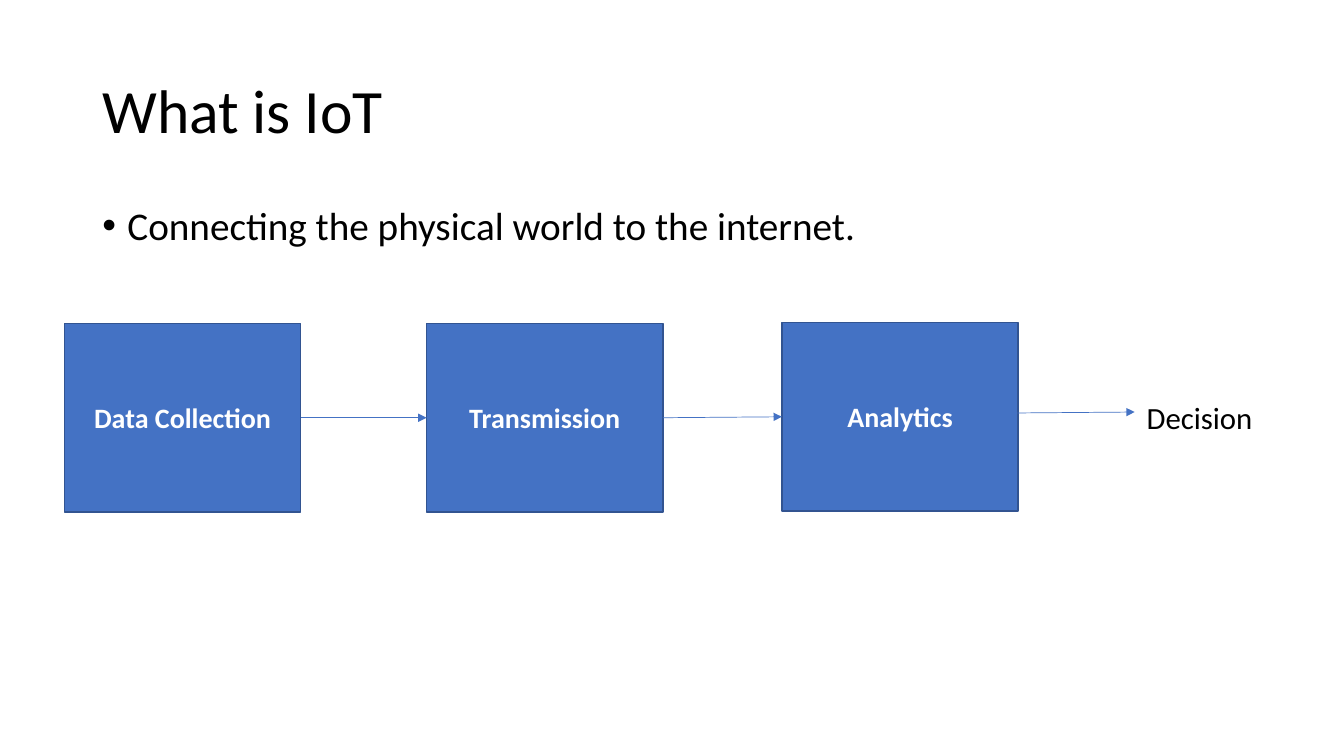
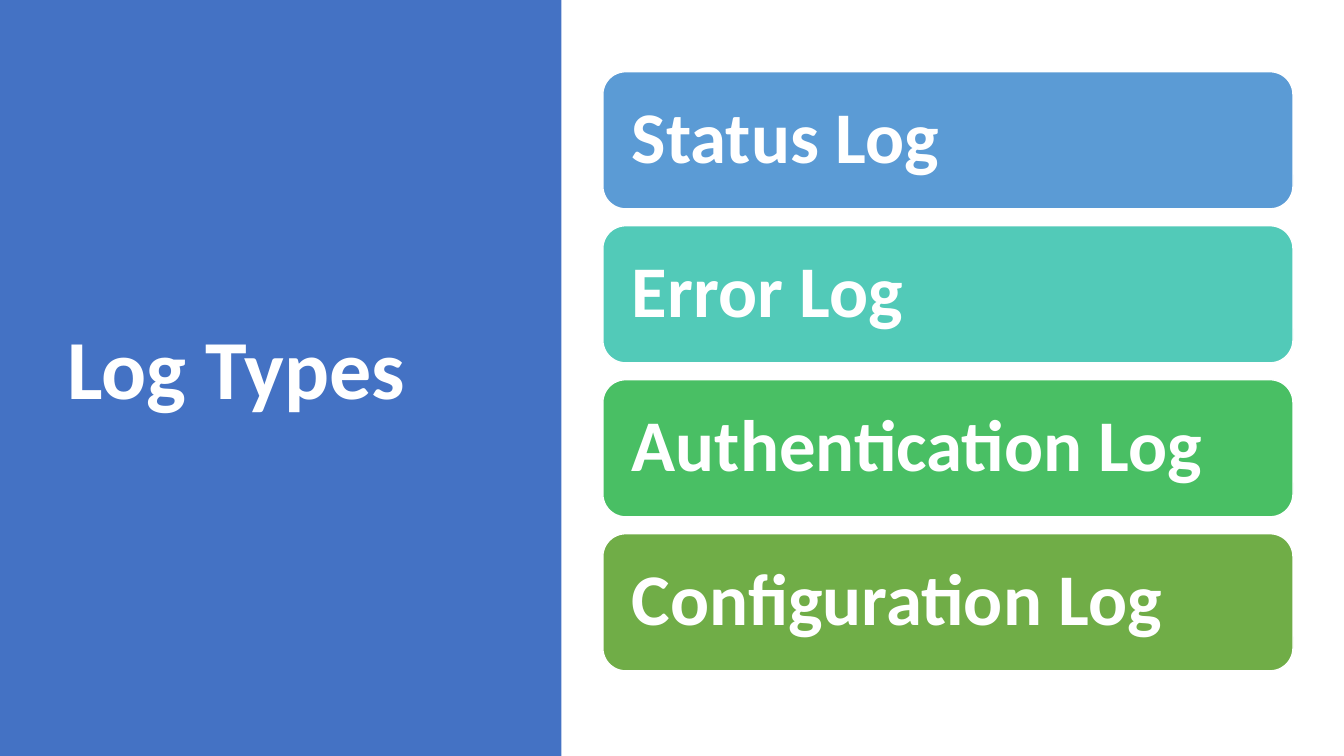
from lxml.etree import SubElement
from pptx import Presentation
from pptx.dml.color import RGBColor
from pptx.enum.shapes import MSO_CONNECTOR, MSO_SHAPE
from pptx.enum.text import MSO_ANCHOR as Anchor, PP_ALIGN as Align
from pptx.oxml.ns import qn
from pptx.util import Pt

BLACK = RGBColor(0x00, 0x00, 0x00)
WHITE = RGBColor(0xFF, 0xFF, 0xFF)
BLUE = RGBColor(0x44, 0x72, 0xC4)
DARK_BLUE = RGBColor(0x32, 0x54, 0x91)
SKY = RGBColor(0x5B, 0x9B, 0xD5)
TEAL = RGBColor(0x52, 0xCA, 0xB8)
GREEN = RGBColor(0x49, 0xBF, 0x64)
OLIVE = RGBColor(0x70, 0xAD, 0x47)

FONT = "Calibri"
PAGE_WIDTH, PAGE_HEIGHT = 960, 540
LEFT, RIGHT = 1, 3


class Deck:
    def __init__(self):
        self.deck = Presentation()
        self.deck.slide_width = Pt(PAGE_WIDTH)
        self.deck.slide_height = Pt(PAGE_HEIGHT)
        self.shapes = None

    def add_page(self):
        page = self.deck.slides.add_slide(self.deck.slide_layouts[6])
        self.shapes = page.shapes

    def set_text(self, shape, text, size, color=BLACK, bold=False,
                 anchor=Anchor.TOP, align=Align.LEFT, spacing=None):
        frame = shape.text_frame
        frame.word_wrap = True
        frame.vertical_anchor = anchor
        para = frame.paragraphs[0]
        para.text = text
        para.alignment = align
        para.line_spacing = spacing
        font = para.font
        font.name = FONT
        font.size = Pt(size)
        font.bold = bold
        font.color.rgb = color
        return para

    def text(self, place, text, size, **style):
        box = self.shapes.add_textbox(*map(Pt, place))
        return self.set_text(box, text, size, **style)

    def title(self, place, text, size=44, **style):
        self.text(place, text, size, anchor=Anchor.MIDDLE, spacing=0.9, **style)

    def bullet(self, place, text):
        para = self.text(place, text, 28, spacing=0.9)
        para.space_before = Pt(10)
        properties = para._p.get_or_add_pPr()
        properties.set("marL", str(Pt(18)))
        properties.set("indent", str(-Pt(18)))
        bullet_font = SubElement(properties, qn("a:buFont"), typeface="Arial")
        bullet_mark = SubElement(properties, qn("a:buChar"), char="•")
        properties.defRPr.addprevious(bullet_font)
        properties.defRPr.addprevious(bullet_mark)

    def block(self, place, fill, line=None, kind=MSO_SHAPE.RECTANGLE):
        shape = self.shapes.add_shape(kind, *map(Pt, place))
        shape.shadow.inherit = False
        shape.fill.solid()
        shape.fill.fore_color.rgb = fill
        if line is None:
            shape.line.fill.background()
        else:
            shape.line.color.rgb = line
            shape.line.width = Pt(1)
        return shape

    def step(self, place, text):
        box = self.block(place, BLUE, DARK_BLUE)
        self.set_text(box, text, 20, color=WHITE, bold=True,
                      anchor=Anchor.MIDDLE, align=Align.CENTER)
        return box

    def card(self, place, text, fill):
        card = self.block(place, fill, WHITE, MSO_SHAPE.ROUNDED_RECTANGLE)
        frame = card.text_frame
        frame.margin_left = frame.margin_right = Pt(16)
        self.set_text(card, text, 52, color=WHITE, bold=True,
                      anchor=Anchor.MIDDLE, spacing=0.9)

    def arrow(self, start=(0, 0), end=(0, 0)):
        arrow = self.shapes.add_connector(
            MSO_CONNECTOR.STRAIGHT, *map(Pt, (*start, *end)))
        arrow.line.color.rgb = BLUE
        arrow.line.width = Pt(0.5)
        outline = arrow._element.spPr.find(qn("a:ln"))
        SubElement(outline, qn("a:tailEnd"), type="triangle")
        SubElement(arrow._element.spPr, qn("a:effectLst"))
        return arrow

    def join(self, source, target):
        arrow = self.arrow()
        arrow.begin_connect(source, RIGHT)
        arrow.end_connect(target, LEFT)

    def save(self):
        self.deck.save("out.pptx")


def add_iot_page(deck):
    deck.add_page()
    deck.title((66, 28.75, 828, 104.4), "What is IoT")
    deck.bullet((66, 143.75, 828, 342.6),
                "Connecting the physical world to the internet.")
    steps = [
        deck.step((left, top, 168.8, 134.8), text)
        for left, top, text in (
            (46, 231, "Data Collection"),
            (304.7, 231, "Transmission"),
            (558.5, 230.3, "Analytics"),
        )
    ]
    for source, target in zip(steps, steps[1:]):
        deck.join(source, target)
    deck.arrow((726.7, 295), (810.5, 294.3))
    deck.text((812, 281, 97.5, 33.9), "Decision", 22)


def add_log_page(deck):
    deck.add_page()
    deck.block((0, 0, 401, PAGE_HEIGHT), BLUE)
    deck.title((41, 49, 299.5, 433.5), "Log Types", 60, color=WHITE, bold=True)
    cards = (
        ("Status Log", SKY),
        ("Error Log", TEAL),
        ("Authentication Log", GREEN),
        ("Configuration Log", OLIVE),
    )
    height, gap = 98, 12
    for index, (text, fill) in enumerate(cards):
        top = 51.2 + index * (height + gap)
        deck.card((430.6, top, 493, height), text, fill)


def main():
    deck = Deck()
    add_iot_page(deck)
    add_log_page(deck)
    deck.save()


if __name__ == "__main__":
    main()
